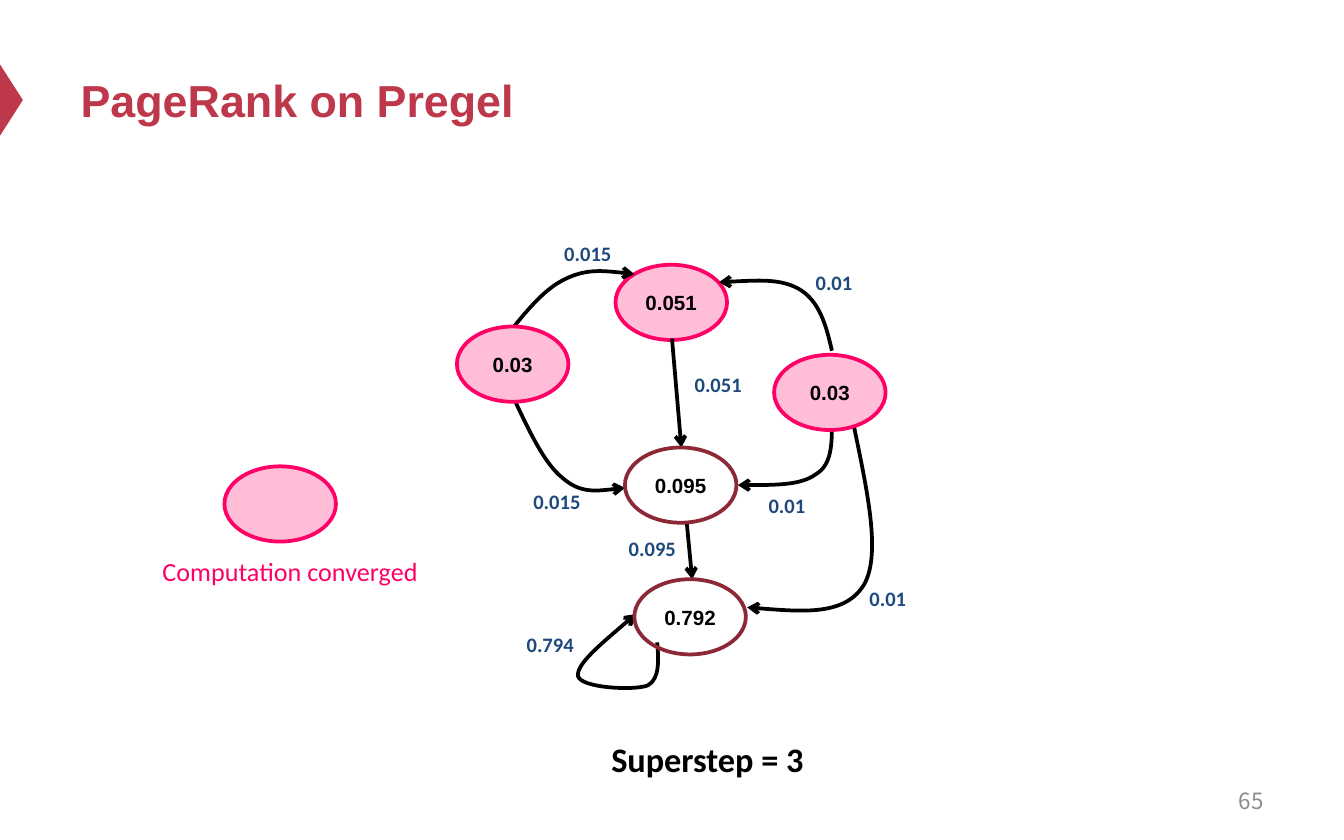
"""Build the PageRank on Pregel slide, superstep 3."""
import lxml.etree
import pptx
import pptx.dml.color
import pptx.enum.shapes
import pptx.enum.text
import pptx.oxml.ns
import pptx.util

Inches = pptx.util.Inches
Pt = pptx.util.Pt
SHAPE = pptx.enum.shapes.MSO_SHAPE
ALIGN = pptx.enum.text.PP_ALIGN
MIDDLE = pptx.enum.text.MSO_ANCHOR.MIDDLE
qn = pptx.oxml.ns.qn

COLORS = {
    "title": "BE384B",
    "converged": "FF0066",
    "converged_fill": "FFBDD8",
    "active": "8D2937",
    "message": "1F497D",
    "ink": "000000",
    "number": "8C8C8C",
}
NODE_W, NODE_H = 0.83, 0.56

TOP_NODE = (4.58, 1.97, "0.051", True)
NODES = [
    (4.65, 3.33, "0.095", False),
    (4.72, 4.31, "0.792", False),
    (5.76, 2.64, "0.03", True),
    (3.4, 2.43, "0.03", True),
    (1.67, 3.47, "", True),
]
CURVES = [
    [(3.8, 2.46), (3.93, 2.3), (4.06, 2.14), (4.22, 2.07),
     (4.37, 2), (4.55, 2.02), (4.72, 2.04)],
    [(3.83, 2.98), (3.94, 3.21), (4.05, 3.45), (4.19, 3.56),
     (4.32, 3.67), (4.49, 3.65), (4.65, 3.63)],
    [(6.19, 2.61), (6.15, 2.43), (6.1, 2.25), (5.96, 2.16),
     (5.82, 2.07), (5.58, 2.09), (5.35, 2.1)],
    [(6.19, 3.15), (6.19, 3.3), (6.19, 3.46), (6.07, 3.53),
     (5.96, 3.61), (5.72, 3.61), (5.49, 3.61)],
    [(6.35, 3.15), (6.45, 3.64), (6.56, 4.12), (6.43, 4.35),
     (6.29, 4.58), (5.93, 4.55), (5.56, 4.52)],
    [(4.89, 4.78), (4.9, 4.91), (4.91, 5.05), (4.82, 5.1),
     (4.72, 5.14), (4.32, 5.12), (4.3, 5.03),
     (4.29, 4.94), (4.51, 4.76), (4.73, 4.57)],
]
STRAIGHTS = [((5, 2.52), (5.07, 3.33)), ((5.11, 3.89), (5.15, 4.31))]
MESSAGES = [
    (4.1, 1.74, "0.015"),
    (3.87, 3.59, "0.015"),
    (5.07, 2.72, "0.051"),
    (5.97, 1.96, "0.01"),
    (5.62, 3.62, "0.01"),
    (6.37, 4.31, "0.01"),
    (4.58, 3.94, "0.095"),
    (3.82, 4.65, "0.794"),
]


def rgb(name):
    return pptx.dml.color.RGBColor.from_string(COLORS[name])


def write(tf, text, size, color, font, bold=False, align=ALIGN.LEFT):
    p = tf.paragraphs[0]
    p.text = text
    p.alignment = align
    p.font.size = Pt(size)
    p.font.name = font
    p.font.bold = bold
    p.font.color.rgb = rgb(color)


def add_title(s, text):
    title = s.shapes.title
    title.left, title.top = Inches(0.5), Inches(0.25)
    title.width, title.height = Inches(9), Inches(0.98)
    title.text_frame.vertical_anchor = MIDDLE
    write(title.text_frame, text, 24, "title", "Arial", bold=True)


def add_marker(s):
    sp = s.shapes.add_shape(SHAPE.ISOSCELES_TRIANGLE, Inches(-0.18), Inches(0.66),
                            Inches(0.53), Inches(0.17))
    sp.rotation = 90
    sp.shadow.inherit = False
    sp.fill.solid()
    sp.fill.fore_color.rgb = rgb("title")
    sp.line.fill.background()


def add_label(s, x, y, w, h, text, size, color, font="Calibri", bold=False):
    tf = s.shapes.add_textbox(Inches(x), Inches(y), Inches(w), Inches(h)).text_frame
    tf.word_wrap = False
    write(tf, text, size, color, font, bold)
    return tf


def add_page_number(s, text):
    tf = add_label(s, 7.17, 5.79, 2.33, 0.33, text, 12, "number", "Noto Sans CJK SC")
    tf.word_wrap = True
    tf.vertical_anchor = MIDDLE
    tf.paragraphs[0].alignment = ALIGN.RIGHT


def add_node(s, x, y, rank, converged):
    sp = s.shapes.add_shape(SHAPE.OVAL, Inches(x), Inches(y),
                            Inches(NODE_W), Inches(NODE_H))
    sp.shadow.inherit = False
    if converged:
        sp.fill.solid()
        sp.fill.fore_color.rgb = rgb("converged_fill")
    else:
        sp.fill.background()
    sp.line.color.rgb = rgb("converged" if converged else "active")
    sp.line.width = Pt(2)
    if rank:
        tf = sp.text_frame
        tf.margin_left = tf.margin_right = tf.margin_top = tf.margin_bottom = 0
        tf.vertical_anchor = MIDDLE
        write(tf, rank, 11, "ink", "Arial", bold=True, align=ALIGN.CENTER)


def style_edge(sp):
    sp.line.color.rgb = rgb("ink")
    sp.line.width = Pt(2)
    ln = sp.element.spPr.find(qn("a:ln"))
    lxml.etree.SubElement(ln, qn("a:tailEnd"), type="arrow")


def bend(sp):
    """Turn each three line segments of an outline into one cubic Bezier."""
    outline = sp.element.spPr.find(".//" + qn("a:path"))
    segments = outline.findall(qn("a:lnTo"))
    for i in range(0, len(segments), 3):
        curve = lxml.etree.SubElement(outline, qn("a:cubicBezTo"))
        for segment in segments[i:i + 3]:
            curve.append(segment.find(qn("a:pt")))
            outline.remove(segment)


def add_curve(s, controls):
    start, *rest = [(Inches(x), Inches(y)) for x, y in controls]
    builder = s.shapes.build_freeform(*start)
    builder.add_line_segments(rest, close=False)
    sp = builder.convert_to_shape()
    bend(sp)
    sp.shadow.inherit = False
    sp.fill.background()
    style_edge(sp)


def add_straight(s, start, end):
    sp = s.shapes.add_connector(pptx.enum.shapes.MSO_CONNECTOR.STRAIGHT,
                                *[Inches(v) for v in start + end])
    style_edge(sp)
    lxml.etree.SubElement(sp.element.spPr, qn("a:effectLst"))


def main():
    prs = pptx.Presentation()
    prs.slide_width, prs.slide_height = Inches(10), Inches(6.25)
    s = prs.slides.add_slide(prs.slide_layouts[5])
    add_marker(s)
    add_title(s, "PageRank on Pregel")
    add_page_number(s, "65")
    add_node(s, *TOP_NODE)
    for controls in CURVES:
        add_curve(s, controls)
    for start, end in STRAIGHTS:
        add_straight(s, start, end)
    for x, y, value in MESSAGES:
        width = 0.56 if len(value) == 5 else 0.48
        add_label(s, x, y, width, 0.29, value, 11, "message", bold=True)
    add_label(s, 4.45, 5.44, 1.64, 0.41, "Superstep = 3", 18.4, "ink", bold=True)
    for node in NODES:
        add_node(s, *node)
    add_label(s, 1.11, 4.08, 2.12, 0.34, "Computation converged", 14, "converged")
    prs.save("out.pptx")


if __name__ == "__main__":
    main()
